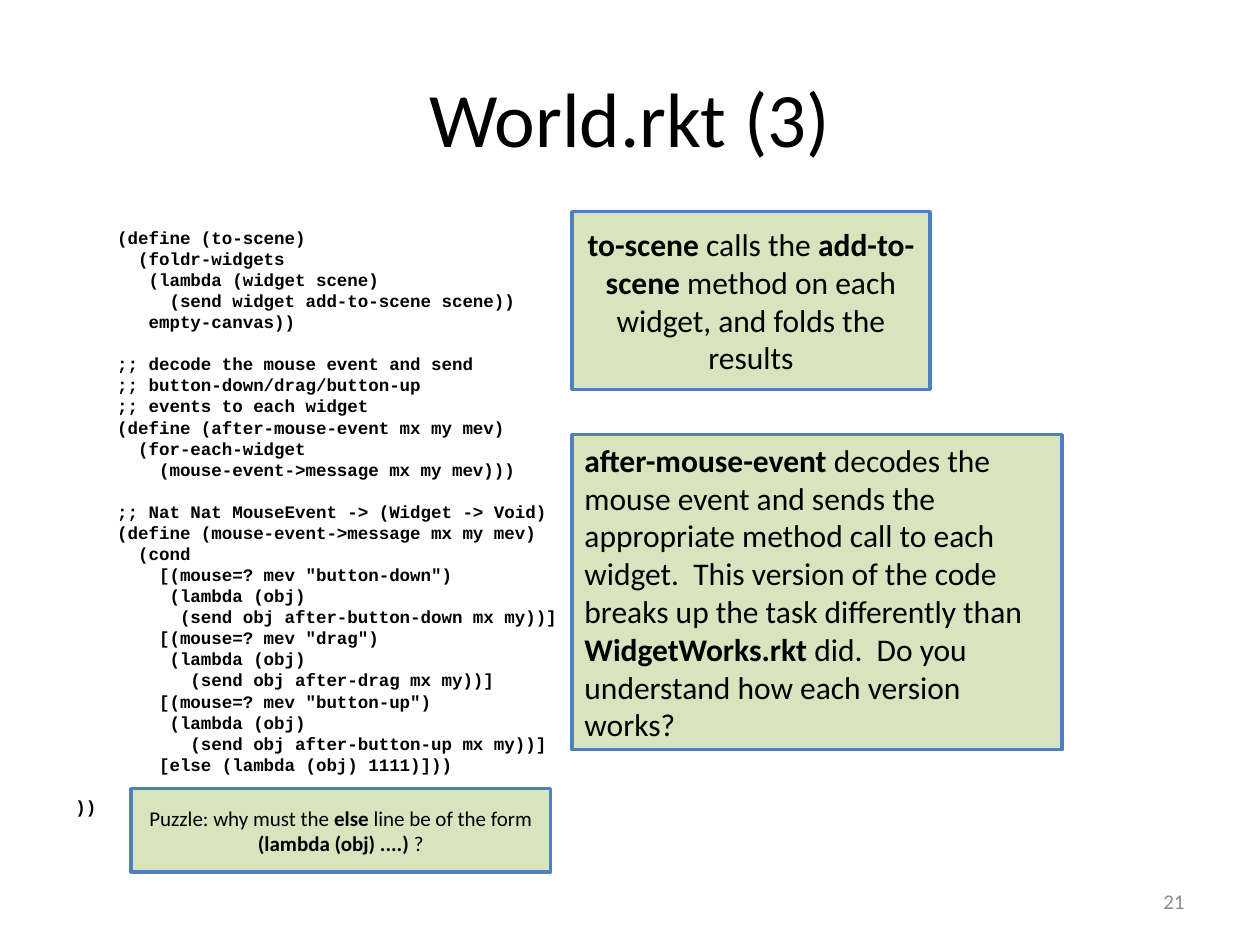
import pptx
import pptx.util
import pptx.dml.color
import pptx.enum.shapes
import pptx.enum.text

PX = 9144  # 100 px to the inch
ALIGN = pptx.enum.text.PP_ALIGN
ANCHOR = pptx.enum.text.MSO_ANCHOR
LINE_PITCH = pptx.util.Pt(12.04)


def rgb(value):
    return pptx.dml.color.RGBColor.from_string(value)


def set_font(p, name, size, color):
    p.font.name = name
    p.font.size = pptx.util.Pt(size)
    p.font.color.rgb = rgb(color)


prs = pptx.Presentation()
prs.slide_width, prs.slide_height = 1000 * PX, 750 * PX
s = prs.slides.add_slide(prs.slide_layouts[5])

# Title
sp = s.shapes.title
sp.left, sp.top, sp.width, sp.height = 50 * PX, 30 * PX, 900 * PX, 125 * PX
sp.text_frame.text = "World.rkt (3)"
p = sp.text_frame.paragraphs[0]
p.alignment = ALIGN.CENTER
set_font(p, "Calibri", 44, "000000")

# Code listing: blocks are set apart by one line
code = '''\
    (define (to-scene)
      (foldr-widgets
       (lambda (widget scene)
         (send widget add-to-scene scene))
       empty-canvas))

    ;; decode the mouse event and send
    ;; button-down/drag/button-up
    ;; events to each widget
    (define (after-mouse-event mx my mev)
      (for-each-widget
        (mouse-event->message mx my mev)))

    ;; Nat Nat MouseEvent -> (Widget -> Void)
    (define (mouse-event->message mx my mev)
      (cond
        [(mouse=? mev "button-down")
         (lambda (obj)
          (send obj after-button-down mx my))]
        [(mouse=? mev "drag")
         (lambda (obj)
           (send obj after-drag mx my))]
        [(mouse=? mev "button-up")
         (lambda (obj)
           (send obj after-button-up mx my))]
        [else (lambda (obj) 1111)]))

))'''
sp = s.shapes.add_textbox(50 * PX, 175 * PX, 442 * PX, 495 * PX)
tf = sp.text_frame
tf.word_wrap = True
for b, block in enumerate(code.split("\n\n")):
    for i, line in enumerate(block.split("\n")):
        first = b == 0 and i == 0
        p = tf.paragraphs[0] if first else tf.add_paragraph()
        p.text = line
        p.line_spacing = LINE_PITCH
        if b > 0 and i == 0:
            p.space_before = LINE_PITCH
        set_font(p, "Courier New", 10, "000000")
        p.font.bold = True

# Slide number
sp = s.shapes.add_textbox(717 * PX, 695 * PX, 233 * PX, 40 * PX)
tf = sp.text_frame
tf.word_wrap = True
tf.vertical_anchor = ANCHOR.MIDDLE
p = tf.paragraphs[0]
p.text = "21"
p.alignment = ALIGN.RIGHT
set_font(p, "Calibri", 12, "8C8C8C")

# Green callouts: place, size, anchor, alignment, (text, bold) runs
callouts = [
    ((454, 168, 284, 141), 18, ANCHOR.MIDDLE, ALIGN.CENTER, [
        ("to-scene", True),
        (" calls the ", False),
        ("add-to-scene", True),
        (" method on each widget, and folds the results", False),
    ]),
    ((454, 345, 389, 250), 18, ANCHOR.TOP, ALIGN.LEFT, [
        ("after-mouse-event", True),
        (" decodes the mouse event and sends the appropriate method call to "
         "each widget.  This version of the code breaks up the task "
         "differently than ", False),
        ("WidgetWorks.rkt", True),
        (" did.  Do you understand how each version works?", False),
    ]),
    ((104, 626, 333, 66), 12, ANCHOR.MIDDLE, ALIGN.CENTER, [
        ("Puzzle: why must the ", False),
        ("else", True),
        (" line be of the form ", False),
        ("(lambda (obj) ....) ", True),
        ("?", False),
    ]),
]
for box, size, anchor, align, runs in callouts:
    sp = s.shapes.add_shape(pptx.enum.shapes.MSO_SHAPE.RECTANGLE,
                            *[v * PX for v in box])
    sp.shadow.inherit = False
    sp.fill.solid()
    sp.fill.fore_color.rgb = rgb("D7E4BD")
    sp.line.color.rgb = rgb("4F81BD")
    sp.line.width = pptx.util.Pt(2)
    tf = sp.text_frame
    tf.word_wrap = True
    tf.vertical_anchor = anchor
    p = tf.paragraphs[0]
    p.alignment = align
    set_font(p, "Calibri", size, "000000")
    for text, bold in runs:
        r = p.add_run()
        r.text = text
        r.font.bold = bold

prs.save("out.pptx")
